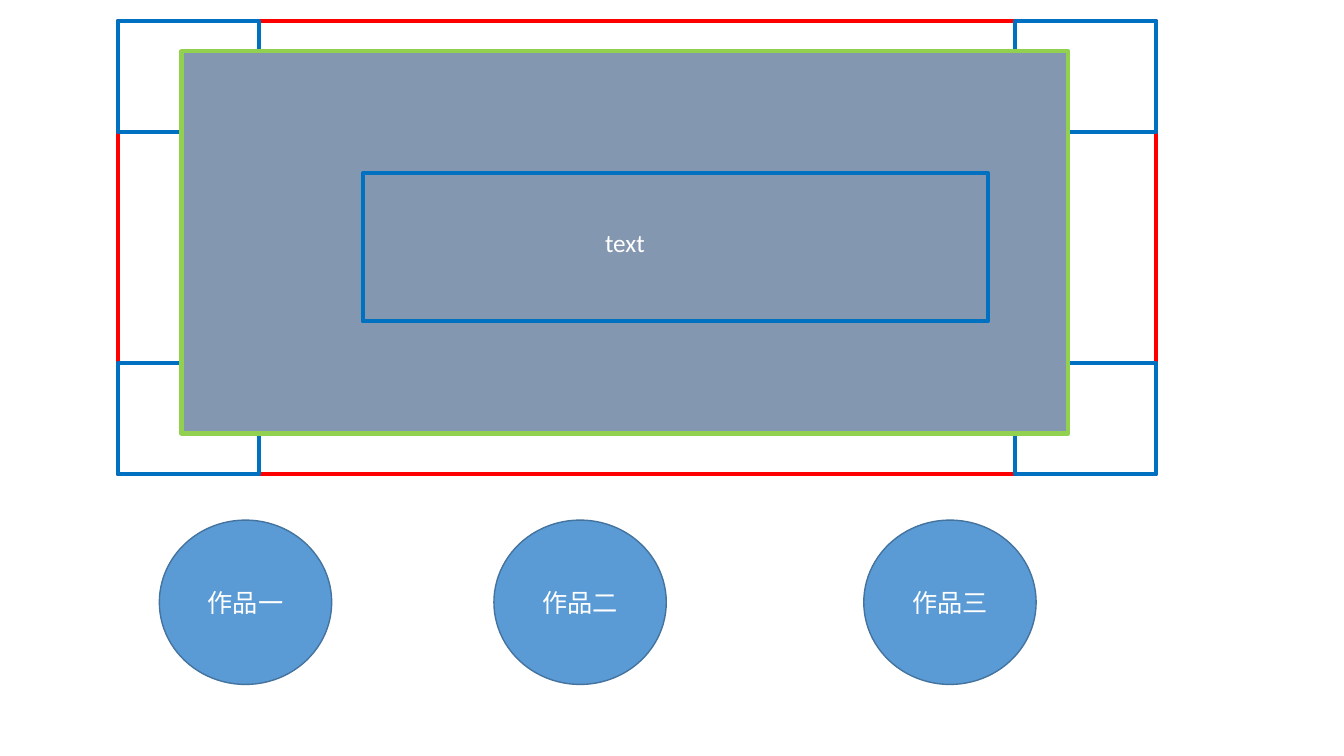
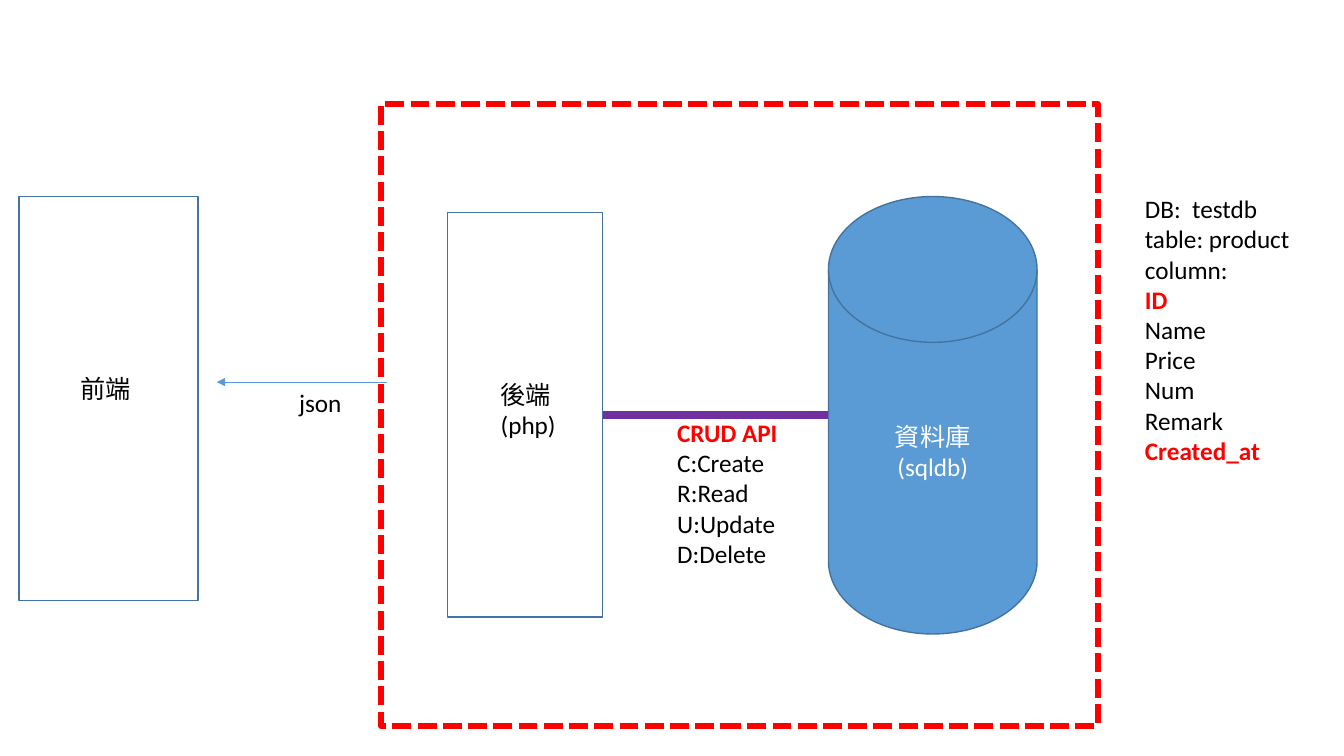
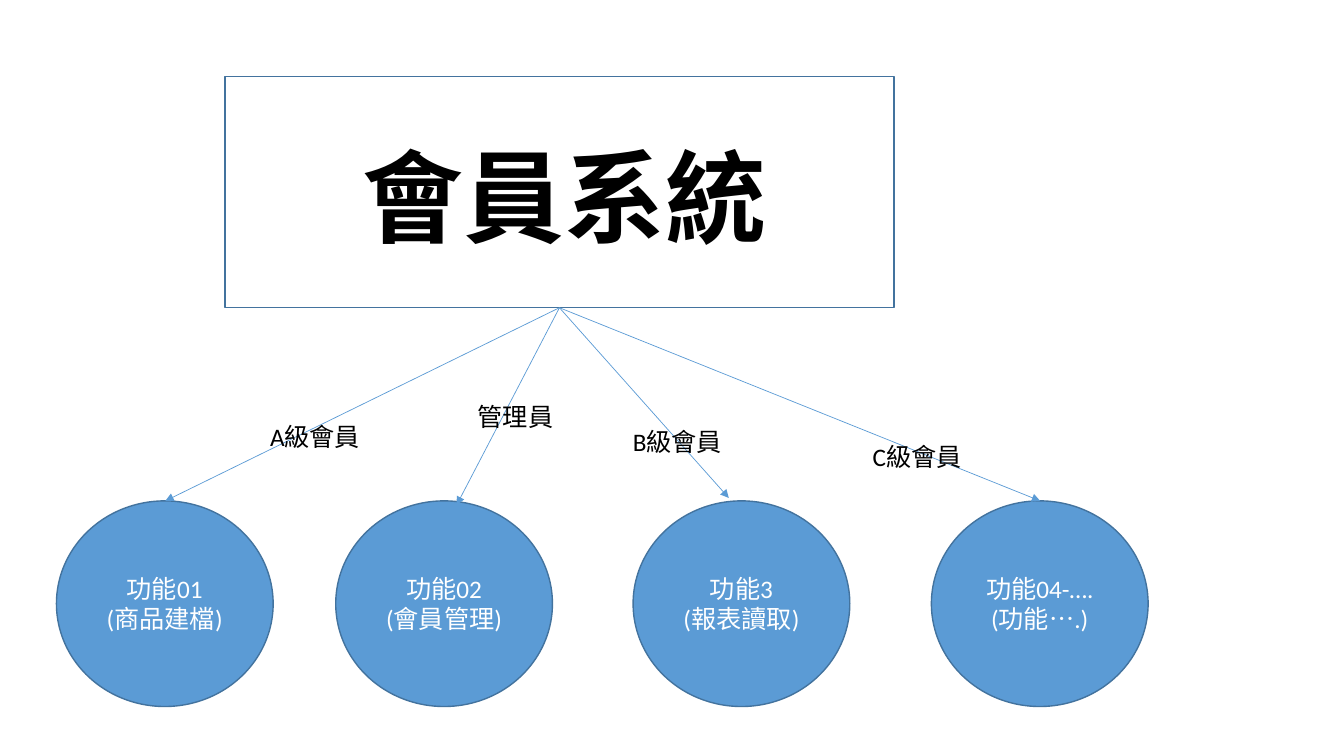
"""Build a three-slide deck: a page layout, a system diagram and a member hierarchy."""
from lxml import etree
from pptx import Presentation
from pptx.dml.color import RGBColor
from pptx.enum.dml import MSO_LINE
from pptx.enum.shapes import MSO_CONNECTOR, MSO_SHAPE
from pptx.enum.text import MSO_ANCHOR, MSO_AUTO_SIZE, PP_ALIGN
from pptx.oxml.ns import qn
from pptx.util import Pt

RECTANGLE = MSO_SHAPE.RECTANGLE
ELLIPSE = MSO_SHAPE.OVAL
DISK = MSO_SHAPE.FLOWCHART_MAGNETIC_DISK
STRAIGHT = MSO_CONNECTOR.STRAIGHT
DASHED = MSO_LINE.SQUARE_DOT
LEFT, CENTER = PP_ALIGN.LEFT, PP_ALIGN.CENTER
MIDDLE = MSO_ANCHOR.MIDDLE
GROW = MSO_AUTO_SIZE.SHAPE_TO_FIT_TEXT

WHITE = RGBColor(0xFF, 0xFF, 0xFF)
BLACK = RGBColor(0x00, 0x00, 0x00)
RED = RGBColor(0xFF, 0x00, 0x00)
BLUE = RGBColor(0x00, 0x70, 0xC0)
SKY = RGBColor(0x5B, 0x9B, 0xD5)
STEEL = RGBColor(0x43, 0x73, 0x9E)
SLATE = RGBColor(0x84, 0x97, 0xB0)
GREEN = RGBColor(0x92, 0xD0, 0x50)
PURPLE = RGBColor(0x70, 0x30, 0xA0)

LATIN_FONT = "Calibri"
ASIAN_FONT = "Noto Sans CJK SC"


def write(frame, text, *, size=18, color=BLACK, bold=False, align=LEFT,
          font=LATIN_FONT, marked=()):
    for index, line in enumerate(text.split("\n")):
        para = frame.add_paragraph() if index else frame.paragraphs[0]
        para.alignment = align
        span = para.add_run()
        span.text = line
        span.font.size = Pt(size)
        span.font.name = font
        span.font.bold = bold or line in marked
        span.font.color.rgb = RED if line in marked else color
        asian = etree.SubElement(span.font._element, qn("a:ea"))
        asian.set("typeface", ASIAN_FONT)


class Deck:
    def __init__(self, width, height):
        self.file = Presentation()
        self.file.slide_width = Pt(width)
        self.file.slide_height = Pt(height)
        self.page = None

    def add_page(self):
        self.page = self.file.slides.add_slide(self.file.slide_layouts[6])

    def shape(self, kind, left, top, width, height, text="", *, fill=None,
              line=STEEL, weight=1, dash=None):
        box = self.page.shapes.add_shape(kind, Pt(left), Pt(top), Pt(width), Pt(height))
        box.shadow.inherit = False
        if fill is None:
            box.fill.background()
        else:
            box.fill.solid()
            box.fill.fore_color.rgb = fill
        box.line.color.rgb = line
        box.line.width = Pt(weight)
        if dash is not None:
            box.line.dash_style = dash
        if text:
            box.text_frame.word_wrap = True
            box.text_frame.vertical_anchor = MIDDLE
            write(box.text_frame, text, color=WHITE, align=CENTER)

    def label(self, left, top, width, height, text, *, wrap=False, **style):
        box = self.page.shapes.add_textbox(Pt(left), Pt(top), Pt(width), Pt(height))
        box.text_frame.word_wrap = wrap
        box.text_frame.auto_size = GROW
        write(box.text_frame, text, **style)

    def link(self, start, end, *, color=SKY, weight=0.5, arrow=True):
        points = [Pt(value) for value in (*start, *end)]
        connector = self.page.shapes.add_connector(STRAIGHT, *points)
        connector.line.color.rgb = color
        connector.line.width = Pt(weight)
        if arrow:
            tail = etree.SubElement(connector.line._get_or_add_ln(), qn("a:tailEnd"))
            tail.set("type", "triangle")
        etree.SubElement(connector._element.spPr, qn("a:effectLst"))


def build_layout(deck):
    deck.add_page()
    left, top, width, height = 84.2, 15.1, 741.6, 323.3
    corner_width, corner_height = 101, 79.2
    deck.shape(RECTANGLE, left, top, width, height, line=RED, weight=3)
    for x in (left, left + width - corner_width):
        for y in (top, top + height - corner_height):
            deck.shape(RECTANGLE, x, y, corner_width, corner_height, line=BLUE, weight=3)
    deck.shape(RECTANGLE, 129.6, 36.7, 633.6, 272.9, "text",
               fill=SLATE, line=GREEN, weight=3)
    deck.shape(RECTANGLE, 259.2, 123.8, 446.4, 105.8, line=BLUE, weight=3)
    for x, work in ((113.8, "作品一"), (352.8, "作品二"), (617, "作品三")):
        deck.shape(ELLIPSE, x, 371.5, 123.1, 117.4, work, fill=SKY)


def build_system(deck):
    deck.add_page()
    deck.shape(DISK, 591.8, 140.4, 149, 312.5, "資料庫\n(sqldb)", fill=SKY)
    deck.shape(RECTANGLE, 13.7, 140.4, 127.8, 288.7)
    deck.label(50.4, 262.8, 51.1, 28.8, "前端")
    deck.shape(RECTANGLE, 319.7, 151.9, 110.9, 288.7)
    deck.label(350.6, 267.1, 54.7, 51.1, "後端\n(php)")
    deck.shape(RECTANGLE, 272.2, 74.2, 511.9, 444.2, line=RED, weight=4.5, dash=DASHED)
    deck.link((430.6, 296.6), (591.8, 296.6), color=PURPLE, weight=6, arrow=False)
    deck.label(476.6, 294.5, 87.1, 116.6,
               "CRUD API\nC:Create\nR:Read\nU:Update\nD:Delete", marked=("CRUD API",))
    deck.label(810.7, 134.6, 119.5, 225.4,
               "DB:  testdb\ntable: product\ncolumn:\nID\nName\nPrice\nNum\nRemark\nCreated_at",
               marked=("ID", "Created_at"))
    deck.link((276.5, 272.9), (154.8, 272.9))
    deck.label(206.6, 272.9, 45.4, 28.8, "json")


def build_members(deck):
    deck.add_page()
    deck.shape(RECTANGLE, 160.6, 54.7, 478.1, 165.2)
    deck.label(252, 92.9, 346.3, 94.3, "會員系統", wrap=True, size=72, bold=True,
               font=ASIAN_FONT)
    functions = (
        (40.3, "功能01\n(商品建檔)"),
        (239.8, "功能02\n(會員管理)"),
        (452.2, "功能3\n(報表讀取)"),
        (665.3, "功能04-….\n(功能….)"),
    )
    for x, function in functions:
        deck.shape(ELLIPSE, x, 357.8, 154.8, 146.9, function, fill=SKY)
    hub = (399.6, 219.8)
    roles = (
        ((326.2, 360.7), (334.1, 283), "管理員"),
        ((118.1, 357.8), (185.8, 297.4), "A級會員"),
        ((520.6, 355.7), (445, 301), "B級會員"),
        ((743, 357.8), (616.3, 311.8), "C級會員"),
    )
    for target, place, role in roles:
        deck.link(hub, target)
        deck.label(*place, 117.4, 28.8, role, wrap=True)


def main():
    deck = Deck(960, 540)
    build_layout(deck)
    build_system(deck)
    build_members(deck)
    deck.file.save("out.pptx")


if __name__ == "__main__":
    main()
